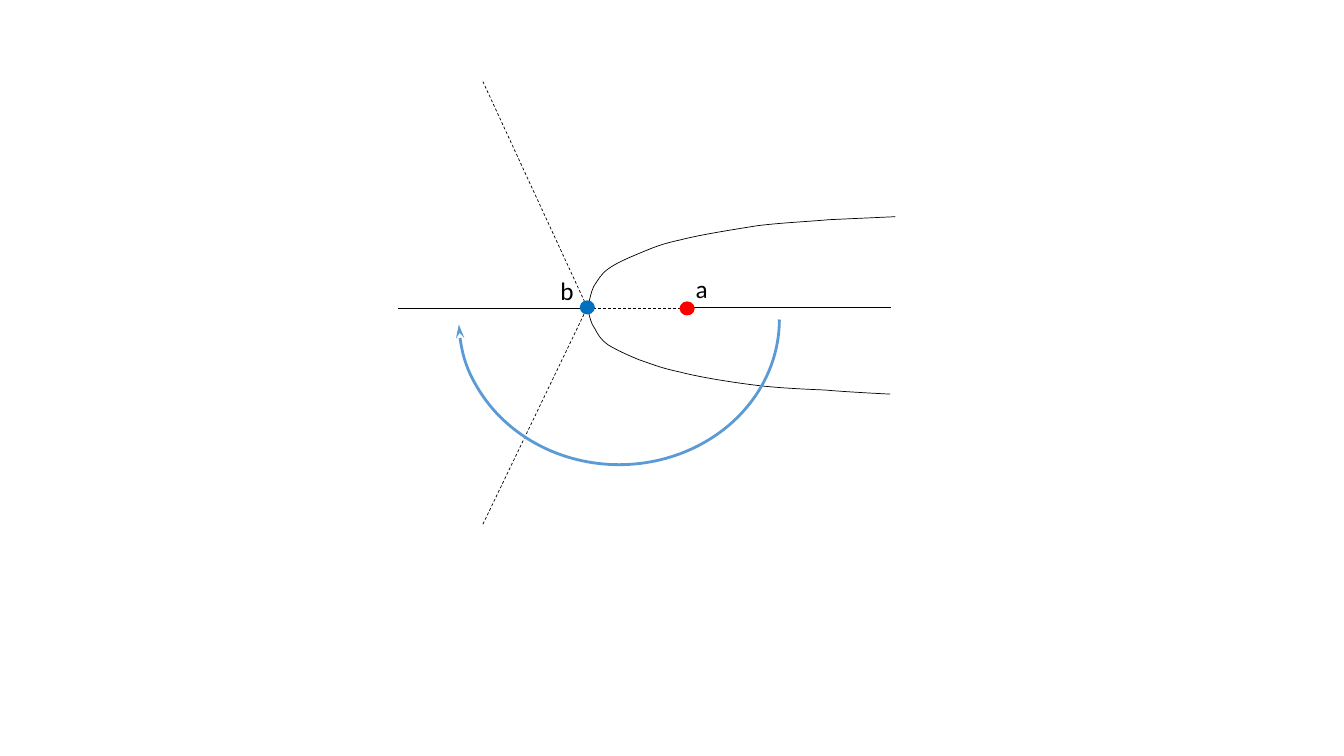
"""Build a slide of a branching curve diagram with points a and b."""
from pptx import Presentation
from pptx.dml.color import RGBColor
from pptx.enum.dml import MSO_LINE
from pptx.enum.shapes import MSO_CONNECTOR, MSO_SHAPE
from pptx.enum.text import MSO_AUTO_SIZE
from pptx.oxml.ns import qn
from pptx.util import Inches, Pt
from lxml.etree import SubElement


def color(hex_code):
    return RGBColor.from_string(hex_code)


def style_line(line, hex_code, width, dashed=False):
    line.color.rgb = color(hex_code)
    line.width = Pt(width)
    if dashed:
        line.dash_style = MSO_LINE.DASH


presentation = Presentation()
presentation.slide_width = Inches(13.33)
presentation.slide_height = Inches(7.5)
slide = presentation.slides.add_slide(presentation.slide_layouts[6])
diagram = slide.shapes.add_group_shape().shapes

rays = [
    (5.82, 3.04, 4.79, 0.81, True),
    (4.79, 5.2, 5.82, 3.06, True),
    (5.83, 3.06, 6.8, 3.06, True),
    (3.95, 3.06, 5.83, 3.06, False),
    (6.82, 3.05, 8.84, 3.05, False),
]
for x1, y1, x2, y2, dashed in rays:
    ray = diagram.add_connector(
        MSO_CONNECTOR.STRAIGHT, Inches(x1), Inches(y1), Inches(x2), Inches(y2))
    style_line(ray.line, "000000", 0.5, dashed)
    SubElement(ray._element.spPr, qn("a:effectLst"))

upper_branch = [
    (5.83, 3.05), (5.85, 2.97), (5.86, 2.9), (5.89, 2.84),
    (5.93, 2.78), (5.96, 2.72), (6.03, 2.67),
    (6.11, 2.61), (6.23, 2.56), (6.35, 2.51),
    (6.47, 2.46), (6.56, 2.42), (6.75, 2.38),
    (6.94, 2.33), (7.26, 2.28), (7.51, 2.24),
    (7.75, 2.21), (8, 2.2), (8.22, 2.18),
    (8.45, 2.17), (8.88, 2.15), (8.88, 2.15),
]
lower_branch = [
    (5.83, 3.07), (5.85, 3.14), (5.86, 3.21), (5.9, 3.26),
    (5.93, 3.32), (5.96, 3.37), (6.03, 3.42),
    (6.11, 3.47), (6.22, 3.52), (6.34, 3.57),
    (6.46, 3.61), (6.55, 3.65), (6.74, 3.69),
    (6.93, 3.74), (7.24, 3.79), (7.48, 3.82),
    (7.72, 3.85), (7.96, 3.86), (8.19, 3.87),
    (8.41, 3.89), (8.83, 3.91), (8.83, 3.91),
]
for controls in (upper_branch, lower_branch):
    vertices = [(Inches(x), Inches(y)) for x, y in controls]
    builder = diagram.build_freeform(*vertices[0])
    builder.add_line_segments(vertices[1:], close=False)
    branch = builder.convert_to_shape()
    segments = list(branch._element.iter(qn("a:lnTo")))
    outline = segments[0].getparent()
    for start in range(0, len(segments), 3):
        curve = SubElement(outline, qn("a:cubicBezTo"))
        for segment in segments[start:start + 3]:
            curve.append(segment[0])
            outline.remove(segment)
    branch.shadow.inherit = False
    branch.fill.background()
    style_line(branch.line, "000000", 0.5)

for left, top, fill in [(5.75, 2.98, "0070C0"), (6.74, 2.99, "FF0000")]:
    point = diagram.add_shape(
        MSO_SHAPE.OVAL, Inches(left), Inches(top), Inches(0.15), Inches(0.14))
    point.shadow.inherit = False
    point.fill.solid()
    point.fill.fore_color.rgb = color(fill)
    point.line.fill.background()

rotation_arc = diagram.add_shape(
    MSO_SHAPE.ARC, Inches(4.7), Inches(1.58), Inches(2.88), Inches(3.18))
rotation_arc.rotation = 90
rotation_arc.adjustments[0] = 162
rotation_arc.adjustments[1] = 52.945
rotation_arc.shadow.inherit = False
rotation_arc.fill.background()
style_line(rotation_arc.line, "5B9BD5", 2)
SubElement(rotation_arc.line._get_or_add_ln(), qn("a:tailEnd"), type="stealth", len="lg")

for name, left, top, width in [("a", 6.8, 2.66, 0.32), ("b", 5.46, 2.68, 0.34)]:
    label = slide.shapes.add_textbox(
        Inches(left), Inches(top), Inches(width), Inches(0.4))
    label.text_frame.word_wrap = False
    label.text_frame.auto_size = MSO_AUTO_SIZE.SHAPE_TO_FIT_TEXT
    run = label.text_frame.paragraphs[0].add_run()
    run.text = name
    run.font.name = "Calibri"
    run.font.size = Pt(18)
    run.font.color.rgb = color("000000")

presentation.save("out.pptx")
